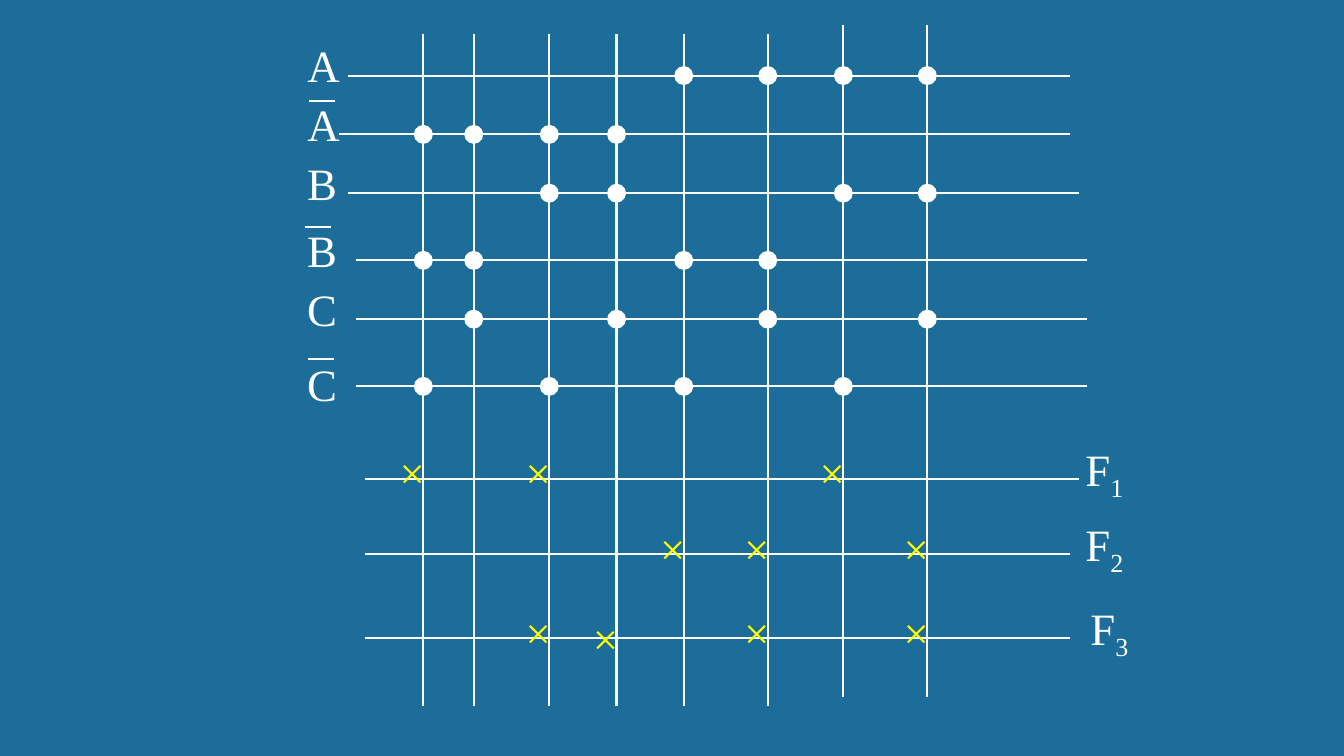
from dataclasses import dataclass

from lxml.etree import SubElement
from pptx import Presentation
from pptx.dml.color import RGBColor as RGB
from pptx.enum.shapes import MSO_CONNECTOR as CONN, MSO_SHAPE as SHAPE
from pptx.enum.text import MSO_AUTO_SIZE as FIT
from pptx.oxml.ns import qn
from pptx.util import Pt


@dataclass(frozen=True)
class Theme:
    background: RGB = RGB.from_string("1C6D9A")
    ink: RGB = RGB.from_string("FFFFFF")
    mark: RGB = RGB.from_string("FFFF00")
    font: str = "Times New Roman"
    size: float = 32
    line: float = 1.5


COLUMNS = [302.4 + dx for dx in (0, 36, 90, 138, 186, 246, 300, 360)]
# name, wire y, wire start, wire end, label top, bit of the column number, bit value
INPUTS = [
    ("A", 54, 248.4, 764.4, 23.4, 2, 1),
    ("A", 96, 242.4, 764.4, 65.4, 2, 0),
    ("B", 138, 248.4, 770.4, 107.4, 1, 1),
    ("B", 186, 254.4, 776.4, 155.4, 1, 0),
    ("C", 228, 254.4, 776.4, 197.4, 0, 1),
    ("C", 276, 254.4, 776.4, 251.4, 0, 0),
]
NEGATION_BARS = [(221, 72), (218.2, 162), (220.3, 256.3)]
# wire y, wire end, label left, {column: cross offset below its usual place}
OUTPUTS = [
    (342, 770.4, 768.2, {0: 0, 2: 0, 6: 0}),
    (396, 764.4, 768.2, {4: 0, 5: 0, 7: 0}),
    (456, 764.4, 771.8, {2: 0, 3: 4.3, 5: 0, 7: 0}),
]


def add_run(p, text, *, font, size, color, baseline=None):
    """Append a run; baseline is a percentage, negative for a subscript."""
    r = p.add_run()
    r.text = text
    r.font.name, r.font.size = font, Pt(size)
    r.font.color.rgb = color
    if baseline is not None:
        r.font._element.set("baseline", str(baseline * 1000))


class Diagram:
    def __init__(self, s, theme):
        self.theme = theme
        self.slide = s
        self.shapes = s.shapes
        s.background.fill.solid()
        s.background.fill.fore_color.rgb = theme.background

    def start_group(self):
        self.shapes = self.slide.shapes.add_group_shape().shapes

    def wire(self, x1, y1, x2, y2):
        sp = self.shapes.add_connector(CONN.STRAIGHT, Pt(x1), Pt(y1), Pt(x2), Pt(y2))
        sp.line.color.rgb = self.theme.ink
        sp.line.width = Pt(self.theme.line)
        SubElement(sp._element.spPr, qn("a:effectLst"))

    def dot(self, x, y, size=12):
        """Draw a junction centred on x, y."""
        sp = self.shapes.add_shape(
            SHAPE.OVAL, Pt(x - size / 2), Pt(y - size / 2), Pt(size), Pt(size))
        sp.shadow.inherit = False
        sp.fill.solid()
        sp.fill.fore_color.rgb = self.theme.ink
        sp.line.color.rgb = self.theme.ink
        sp.line.width = Pt(self.theme.line)

    def label(self, text, x, y, width, color=None, subscript=""):
        sp = self.shapes.add_textbox(Pt(x), Pt(y), Pt(width), Pt(46))
        tf = sp.text_frame
        tf.word_wrap = False
        tf.auto_size = FIT.SHAPE_TO_FIT_TEXT
        style = dict(font=self.theme.font, size=self.theme.size,
                     color=color or self.theme.ink)
        add_run(tf.paragraphs[0], text, **style)
        if subscript:
            add_run(tf.paragraphs[0], subscript, baseline=-25, **style)

    def cross(self, x, y):
        """Mark the crossing of column x and output wire y."""
        self.label("×", x - 24, y - 27.6, 46.8, color=self.theme.mark)


def main():
    prs = Presentation()
    prs.slide_width, prs.slide_height = Pt(960), Pt(540)
    d = Diagram(prs.slides.add_slide(prs.slide_layouts[6]), Theme())

    for _, y, start, end, *_ in INPUTS:
        d.wire(start, y, end, y)
    for i, x in enumerate(COLUMNS):
        top = 24 if i < 6 else 18
        d.wire(x, top, x, top + 480)
    for name, _, _, _, top, _, _ in INPUTS:
        d.label(name, 212.4, top, 38 if name == "A" else 36)
    for x, y in NEGATION_BARS:
        d.wire(x, y, x + 18, y)
    for i, x in enumerate(COLUMNS):
        for _, y, _, _, _, bit, value in INPUTS:
            if i >> bit & 1 == value:
                d.dot(x, y)

    for n, (y, end, label_x, crosses) in enumerate(OUTPUTS, 1):
        d.start_group()
        d.wire(260.4, y, end, y)
        d.label("F", label_x, y - 30.3, 43.2, subscript=str(n))
        for column, drop in crosses.items():
            d.cross(COLUMNS[column], y + drop)

    prs.save("out.pptx")


if __name__ == "__main__":
    main()
